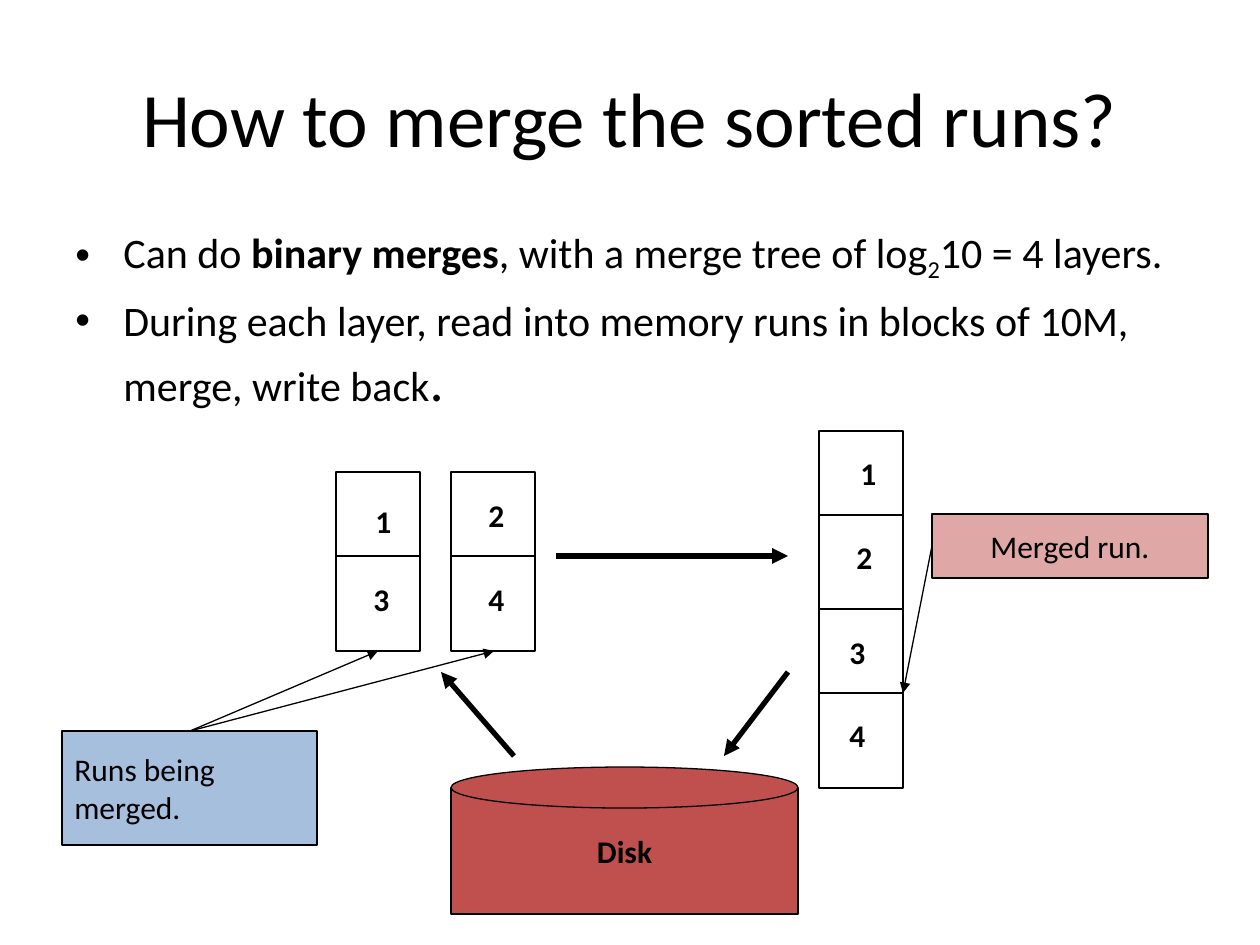
import pptx
import pptx.util
import pptx.dml.color
import pptx.enum.shapes
import pptx.enum.text
import lxml.etree

SCALE = 914400 / 126
BLACK, WHITE, RED, BLUE = "000000", "FFFFFF", "C0504D", "4F81BD"
MSO = pptx.enum.shapes.MSO_SHAPE
ALIGN = pptx.enum.text.PP_ALIGN
ANCHOR = pptx.enum.text.MSO_ANCHOR
qn = pptx.oxml.ns.qn


def px(*lengths):
    return [pptx.util.Emu(round(length * SCALE)) for length in lengths]


def paint(color_format, hex_color):
    color_format.rgb = pptx.dml.color.RGBColor.from_string(hex_color)


deck = pptx.Presentation()
deck.slide_width, deck.slide_height = px(1260, 945)
slide = deck.slides.add_slide(deck.slide_layouts[6])
shapes = slide.shapes

run_blocks = [
    (336, 472, [("1", 359, 489), ("3", 357, 567)]),
    (451, 472, [("2", 472, 483), ("4", 472, 567)]),
    (819, 431, [("1", 844, 441), ("2", 840, 525)]),
    (819, 609, [("3", 833, 620), ("4", 833, 703)]),
]
solids = [(MSO.RECTANGLE, (left, top, 84, 179), WHITE, 100) for left, top, digits in run_blocks]
solids += [
    (MSO.RECTANGLE, (451, 788, 347, 126), RED, 100),
    (MSO.OVAL, (451, 767, 347, 41), RED, 100),
    (MSO.RECTANGLE, (62, 731, 255, 114), BLUE, 50),
    (MSO.RECTANGLE, (932, 514, 276, 64), RED, 50),
]
drawn = []
for kind, bounds, color, opacity in solids:
    solid = shapes.add_shape(kind, *px(*bounds))
    solid.shadow.inherit = False
    solid.fill.solid()
    paint(solid.fill.fore_color, color)
    paint(solid.line.color, BLACK)
    solid.line.width = pptx.util.Pt(0.75)
    if opacity < 100:
        tint = solid.fill._xPr.find(".//" + qn("a:srgbClr"))
        lxml.etree.SubElement(tint, qn("a:alpha"), val=str(opacity * 1000))
    drawn.append(solid)
disk, disk_top, merging_label, merged_label = drawn[len(run_blocks):]

title = shapes.add_textbox(*px(63, 38, 1134, 157))
body = shapes.add_textbox(*px(63, 220, 1134, 624))
plain = {"size": pptx.util.Pt(24), "bold": False}
strong = {**plain, "bold": True}
label = {"size": pptx.util.Pt(18), "bold": False}
digit_style = {**label, "bold": True}
heading = {"size": pptx.util.Pt(44), "bold": False}
full_stop = {**plain, "size": pptx.util.Pt(32)}

texts = [
    (title, ALIGN.CENTER, ANCHOR.MIDDLE, True, [[("How to merge the sorted runs?", heading)]]),
    (body, ALIGN.LEFT, ANCHOR.TOP, True, [
        [("Can do ", plain), ("binary merges", strong),
         (", with a merge tree of log", plain), ("2", plain), ("10 = 4 layers.", plain)],
        [("During each layer, read into memory runs in blocks of 10M, merge, write back", plain),
         (".", full_stop)],
    ]),
    (disk, ALIGN.CENTER, ANCHOR.MIDDLE, False, [[("Disk", digit_style)]]),
    (merging_label, ALIGN.LEFT, ANCHOR.MIDDLE, False, [[("Runs being", label)], [("merged.", label)]]),
    (merged_label, ALIGN.CENTER, ANCHOR.MIDDLE, False, [[("Merged run.", label)]]),
]
for left, top, digits in run_blocks:
    for digit, digit_left, digit_top in digits:
        digit_box = shapes.add_textbox(*px(digit_left, digit_top, 49, 63))
        texts.append((digit_box, ALIGN.CENTER, ANCHOR.MIDDLE, False, [[(digit, digit_style)]]))

for holder, alignment, anchor, wrap, paragraphs in texts:
    frame = holder.text_frame
    for name, value in {"word_wrap": wrap, "vertical_anchor": anchor}.items():
        setattr(frame, name, value)
    for index, pieces in enumerate(paragraphs):
        paragraph = frame.add_paragraph() if index else frame.paragraphs[0]
        paragraph.alignment = alignment
        for words, style in pieces:
            run = paragraph.add_run()
            run.text = words
            for name, value in {"name": "Calibri", **style}.items():
                setattr(run.font, name, value)
            paint(run.font.color, BLACK)

body_paragraphs = body.text_frame.paragraphs
body_paragraphs[0].runs[3].font._element.set("baseline", "-25000")
indent = px(48)[0]
for paragraph, gap in zip(body_paragraphs, (4.8, 6.4)):
    paragraph.space_before = pptx.util.Pt(gap)
    properties = paragraph._p.get_or_add_pPr()
    properties.set("marL", str(indent))
    properties.set("indent", str(-indent))
    lxml.etree.SubElement(properties, qn("a:buFont"), typeface="Arial")
    lxml.etree.SubElement(properties, qn("a:buChar"), char="•")

strokes = [((left, top + 84, left + 84, top + 84), 0.75, False) for left, top, digits in run_blocks]
strokes += [
    ((514, 756, 441, 672), 3, True),
    ((556, 556, 788, 556), 3, True),
    ((788, 672, 724, 756), 3, True),
    ((190, 731, 378, 651), 0.75, True),
    ((190, 731, 494, 651), 0.75, True),
    ((932, 546, 903, 693), 0.75, True),
]
for ends, weight, has_head in strokes:
    stroke = shapes.add_connector(pptx.enum.shapes.MSO_CONNECTOR.STRAIGHT, *px(*ends))
    paint(stroke.line.color, BLACK)
    stroke.line.width = pptx.util.Pt(weight)
    if has_head:
        lxml.etree.SubElement(stroke.line._get_or_add_ln(), qn("a:tailEnd"), type="triangle")
    lxml.etree.SubElement(stroke._element.spPr, qn("a:effectLst"))

deck.save("out.pptx")
